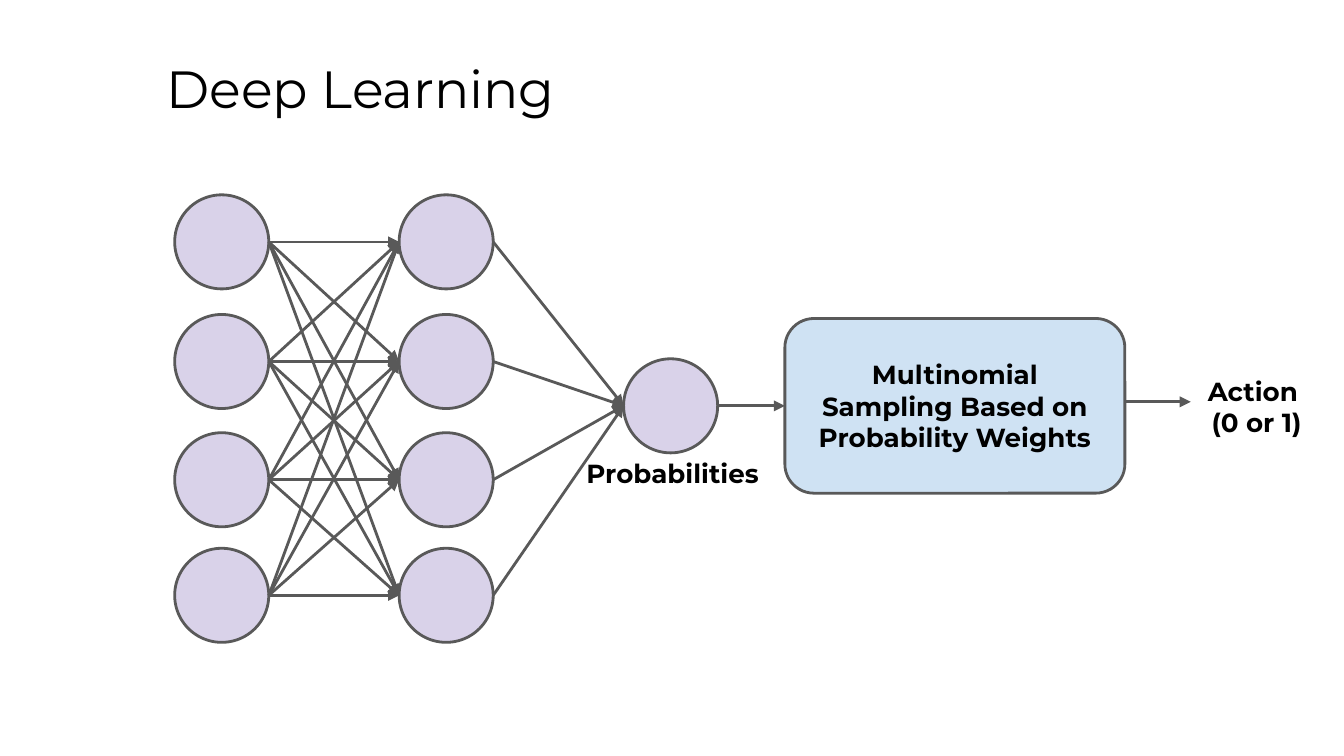
from itertools import product
from lxml.etree import SubElement
from pptx import Presentation
from pptx.dml.color import RGBColor
from pptx.enum.shapes import MSO_CONNECTOR, MSO_SHAPE
from pptx.enum.text import MSO_ANCHOR, PP_ALIGN
from pptx.oxml.ns import qn
from pptx.util import Inches, Pt

COLORS = {"node": "D9D2E9", "box": "CFE2F3", "line": "595959", "text": "000000"}
DIAMETER = 0.7
RADIUS = DIAMETER / 2
INPUT_X, HIDDEN_X, OUTPUT_X = 1.3, 2.97, 4.64
ROWS = [1.8, 2.69, 3.57, 4.43]
OUTPUT_Y = 3.02

prs = Presentation()
prs.slide_width = Inches(10)
prs.slide_height = prs.slide_width * 9 // 16
s = prs.slides.add_slide(prs.slide_layouts[5])


def write(sp, lines, size, bold, align, anchor):
    tf = sp.text_frame
    tf.word_wrap = True
    tf.vertical_anchor = anchor
    tf.margin_left = tf.margin_right = tf.margin_top = tf.margin_bottom = Inches(0.1)
    for i, line in enumerate(lines):
        p = tf.add_paragraph() if i else tf.paragraphs[0]
        p.alignment = align
        r = p.add_run()
        r.text = line
        r.font.name, r.font.size, r.font.bold = "Montserrat", Pt(size), bold
        r.font.color.rgb = RGBColor.from_string(COLORS["text"])


def add_block(kind, x, y, w, h, color):
    sp = s.shapes.add_shape(kind, Inches(x), Inches(y), Inches(w), Inches(h))
    sp.shadow.inherit = False
    sp.fill.solid()
    sp.fill.fore_color.rgb = RGBColor.from_string(COLORS[color])
    sp.line.color.rgb = RGBColor.from_string(COLORS["line"])
    sp.line.width = Pt(1.5)
    return sp


title = s.shapes.title
title.left, title.top = Inches(1.14), Inches(0.32)
title.width, title.height = Inches(8.52), Inches(0.63)
write(title, ["Deep Learning"], 28, False, PP_ALIGN.LEFT, MSO_ANCHOR.TOP)

nodes = [*product([INPUT_X, HIDDEN_X], ROWS), (OUTPUT_X, OUTPUT_Y)]
for x, y in nodes:
    add_block(MSO_SHAPE.OVAL, x, y - RADIUS, DIAMETER, DIAMETER, "node")

sampling = add_block(MSO_SHAPE.ROUNDED_RECTANGLE, 5.84, 2.37, 2.53, 1.3, "box")
write(sampling, ["Multinomial Sampling Based on Probability Weights"], 14, True,
      PP_ALIGN.CENTER, MSO_ANCHOR.MIDDLE)

arrows = [(INPUT_X + DIAMETER, y1, HIDDEN_X, y2) for y1, y2 in product(ROWS, ROWS)]
arrows += [(HIDDEN_X + DIAMETER, y, OUTPUT_X, OUTPUT_Y) for y in ROWS]
arrows += [(OUTPUT_X + DIAMETER, OUTPUT_Y, 5.84, OUTPUT_Y), (8.37, 2.99, 8.86, 2.99)]
for points in arrows:
    arrow = s.shapes.add_connector(MSO_CONNECTOR.STRAIGHT, *map(Inches, points))
    arrow.line.color.rgb = RGBColor.from_string(COLORS["line"])
    arrow.line.width = Pt(1.5)
    SubElement(arrow.line._get_or_add_ln(), qn("a:tailEnd"), type="triangle")
    SubElement(arrow._element.spPr, qn("a:effectLst"))

labels = [
    (["Action ", "(0 or 1)"], 8.86, 2.69, 0.98),
    (["Probabilities"], 4.25, 3.3, 1.51),
]
for lines, x, y, w in labels:
    label = s.shapes.add_textbox(Inches(x), Inches(y), Inches(w), Inches(0.51))
    write(label, lines, 14, True, PP_ALIGN.CENTER, MSO_ANCHOR.TOP)

prs.save("out.pptx")
